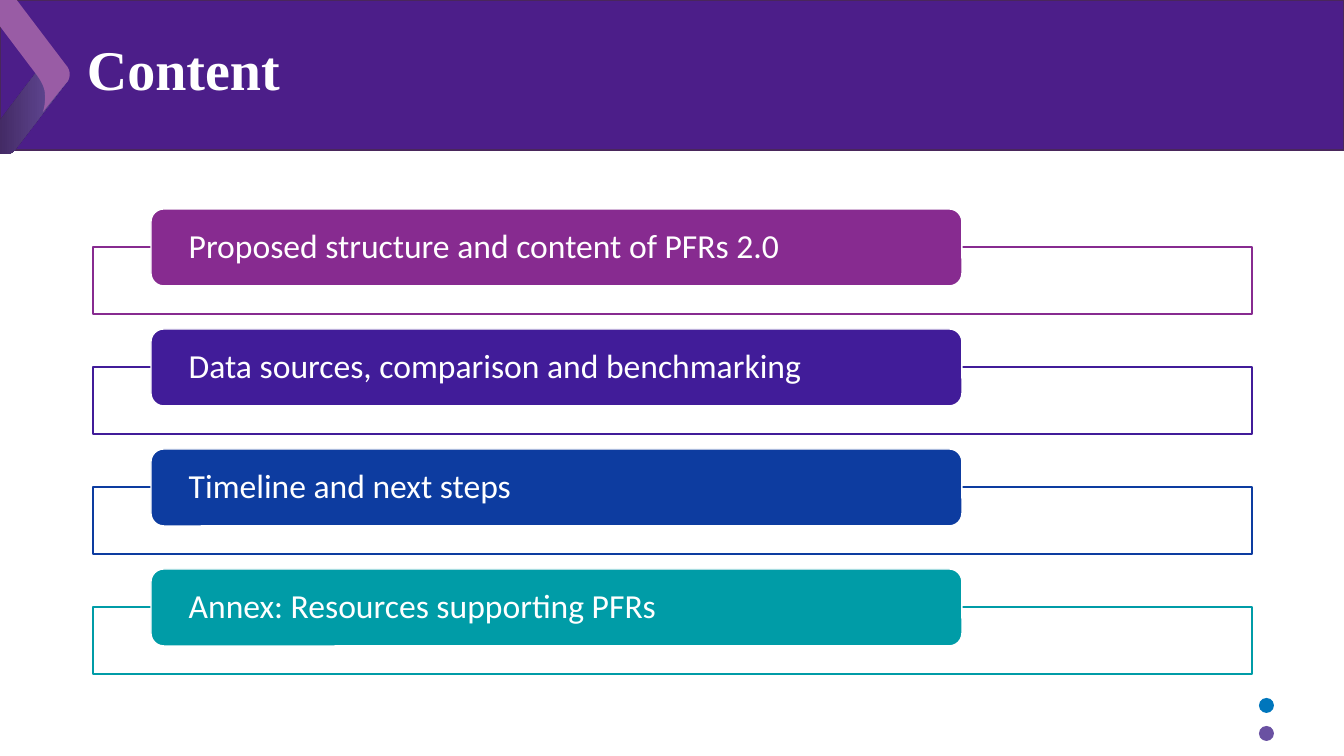
from pptx import Presentation
from pptx.util import Pt
from pptx.dml.color import RGBColor
from pptx.enum.shapes import MSO_SHAPE as Kind
from pptx.enum.text import MSO_ANCHOR as Anchor, PP_ALIGN as Align

TITLE = "Content"
TOPICS = [
    ("Proposed structure and content of PFRs 2.0", "872B90"),
    ("Data sources, comparison and benchmarking", "411C99"),
    ("Timeline and next steps", "0D3CA0"),
    ("Annex: Resources supporting PFRs", "009CA7"),
]
DOTS = [(698, "0076BC"), (726, "6A51A2")]
SHADE = [("3D245B", 0), ("6A51A2", 1)]
LOWER = [(15, 150), (66, 83), (71, 78, 70, 70, 64, 66), (60, 62),
         (55, 58, 47, 59, 42, 65), (-9, 132), (-13, 137, -12, 145, -6, 150),
         (-3, 152), (3, 156, 11, 155, 15, 150)]
UPPER = [(36, 74), (-7, 17), (-12, 10, -11, 1, -5, -4),
         (2, -9, 11, -7, 16, -1), (66, 65), (70, 69, 71, 76, 68, 81),
         (66, 83, 43, 112, 43, 112), (43, 112, 46, 103, 45, 94),
         (45, 85, 36, 74, 36, 74)]
WIDE, HIGH = 1344, 756
TOP, STEP, DROP = 209, 120, 38
CURVE = 10


def px(n):
    return round(n * 914400 / 100.8)


def paint(color, code):
    color.rgb = RGBColor.from_string(code)


def style(shape, fill=None, line=None):
    shape.shadow.inherit = False
    if fill:
        shape.fill.solid()
        paint(shape.fill.fore_color, fill)
    if line:
        paint(shape.line.color, line)
        shape.line.width = Pt(1)
    else:
        shape.line.fill.background()


def block(kind, box, fill, line=None):
    shape = shapes.add_shape(kind, *map(px, box))
    style(shape, fill, line)
    return shape


def trace(steps):
    spots = [steps[0]]
    for step in steps[1:]:
        if len(step) == 2:
            spots.append(step)
            continue
        ends = (*spots[-1], *step)
        for i in range(1, CURVE + 1):
            t = i / CURVE
            u = 1 - t
            mix = (u ** 3, 3 * u * u * t, 3 * u * t * t, t ** 3)
            spots.append(tuple(sum(m * v for m, v in zip(mix, ends[k::2]))
                               for k in (0, 1)))
    spots = [(px(x), px(y)) for x, y in spots]
    form = shapes.build_freeform(*spots[0])
    form.add_line_segments(spots[1:], close=True)
    return form.convert_to_shape()


def write(shape, text, font, size, inset, bold=False):
    frame = shape.text_frame
    frame.word_wrap = True
    frame.vertical_anchor = Anchor.MIDDLE
    frame.margin_left = frame.margin_right = px(inset)
    frame.margin_top = frame.margin_bottom = 0
    para = frame.paragraphs[0]
    para.alignment = Align.LEFT
    para.line_spacing = 0.9
    run = para.add_run()
    run.text = text
    run.font.name = font
    run.font.size = Pt(size)
    run.font.bold = bold
    paint(run.font.color, "FFFFFF")


deck = Presentation()
deck.slide_width, deck.slide_height = px(WIDE), px(HIGH)
slide = deck.slides.add_slide(deck.slide_layouts[5])
shapes = slide.shapes

block(Kind.RECTANGLE, (0, 0, WIDE, 150), "4C1E89", "49275B")

lower = trace(LOWER)
style(lower)
lower.fill.gradient()
lower.fill.gradient_angle = 0
for stop, (code, place) in zip(lower.fill.gradient_stops, SHADE):
    paint(stop.color, code)
    stop.position = place
style(trace(UPPER), "995CA5")

for y, code in DOTS:
    block(Kind.OVAL, (1259, y, 15, 15), code)

title = shapes.title
title.left, title.top, title.width, title.height = map(px, (77, 9, 1236, 126))
write(title, TITLE, "Times New Roman", 40, 10, True)
shapes.element.append(title.element)

for i, (text, code) in enumerate(TOPICS):
    y = TOP + i * STEP
    block(Kind.RECTANGLE, (93, y + DROP, 1159, 67), "FFFFFF", code)
    card = block(Kind.ROUNDED_RECTANGLE, (151, y, 811, 77), code, "FFFFFF")
    write(card, text, "Calibri", 24, 34)

deck.save("out.pptx")
